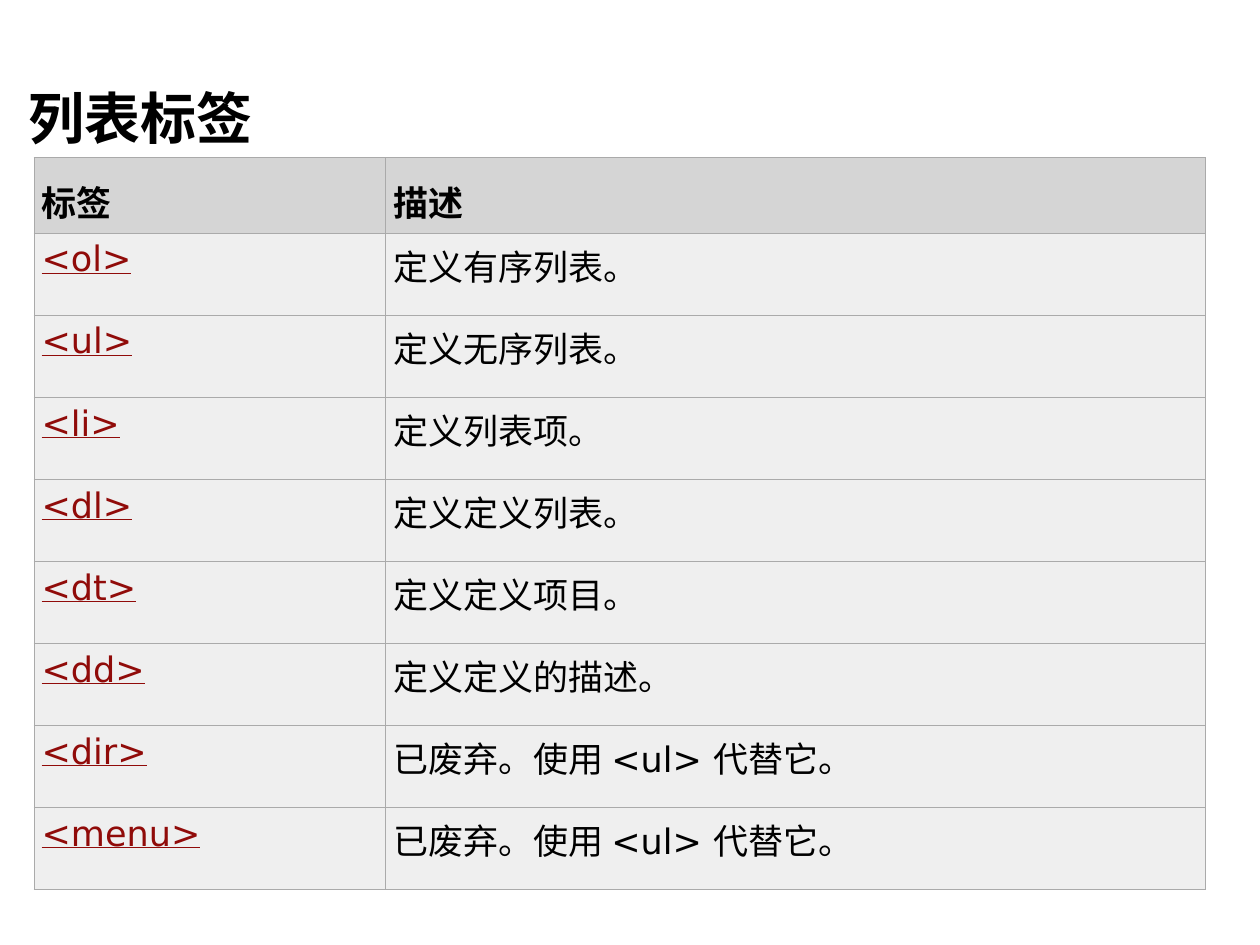
from lxml import etree
from pptx import Presentation
from pptx.dml.color import RGBColor
from pptx.enum.text import MSO_ANCHOR, MSO_AUTO_SIZE
from pptx.oxml.ns import qn
from pptx.util import Inches, Pt

TOP, MIDDLE, BOTTOM = MSO_ANCHOR.TOP, MSO_ANCHOR.MIDDLE, MSO_ANCHOR.BOTTOM
FIT_SHAPE = MSO_AUTO_SIZE.SHAPE_TO_FIT_TEXT

COLORS = {"text": "000000", "tag": "900B09", "header": "D5D5D5",
          "body": "EFEFEF", "border": "AAAAAA"}
LATIN_FONT, CJK_FONT = "DejaVu Sans", "Noto Sans CJK SC"

HEADINGS = ("标签", "描述")
LIST_TAGS = [
    ("<ol>", "定义有序列表。"),
    ("<ul>", "定义无序列表。"),
    ("<li>", "定义列表项。"),
    ("<dl>", "定义定义列表。"),
    ("<dt>", "定义定义项目。"),
    ("<dd>", "定义定义的描述。"),
    ("<dir>", "已废弃。使用 <ul> 代替它。"),
    ("<menu>", "已废弃。使用 <ul> 代替它。"),
]


def style_text(paragraph, size, latin, color="text", bold=False, underline=False):
    font = paragraph.font
    font.size, font.name = Pt(size), latin
    font.bold, font.underline = bold, underline
    font.color.rgb = RGBColor.from_string(COLORS[color])
    # East Asian typeface follows the latin one
    latin_tag = paragraph._p.pPr.find(qn("a:defRPr")).find(qn("a:latin"))
    east_asian = etree.Element(qn("a:ea"), typeface=CJK_FONT)
    latin_tag.addnext(east_asian)


def draw_borders(cell):
    properties = cell._tc.get_or_add_tcPr()
    for index, side in enumerate(("lnL", "lnR", "lnT", "lnB")):
        line = etree.Element(qn(f"a:{side}"), w=str(int(Pt(0.45))))
        fill = etree.SubElement(line, qn("a:solidFill"))
        etree.SubElement(fill, qn("a:srgbClr"), val=COLORS["border"])
        properties.insert(index, line)


def add_title(slide, left, top, width, height):
    title = slide.shapes.add_textbox(left, top, width, height).text_frame
    title.word_wrap = False
    title.auto_size = FIT_SHAPE
    title.vertical_anchor = MIDDLE
    title.text = "列表标签"
    style_text(title.paragraphs[0], 32, CJK_FONT, bold=True)


def add_tag_table(slide, left, top, width, height):
    rows = [HEADINGS] + LIST_TAGS
    table = slide.shapes.add_table(len(rows), len(HEADINGS),
                                   left, top, width, height).table
    # The tag column takes 30 %, the header row is a little lower
    table.columns[0].width = int(width * 0.3)
    table.columns[1].width = width - table.columns[0].width
    header_height = Inches(0.6)
    body_height = (height - header_height) // len(LIST_TAGS)

    for r, row in enumerate(rows):
        is_header = r == 0
        table.rows[r].height = header_height if is_header else body_height
        for c, wording in enumerate(row):
            is_tag = c == 0 and not is_header
            cell = table.cell(r, c)
            cell.text = wording
            cell.margin_left, cell.margin_right = Inches(0.06), Inches(0.16)
            cell.vertical_anchor = BOTTOM if is_header else TOP
            cell.fill.solid()
            cell.fill.fore_color.rgb = RGBColor.from_string(
                COLORS["header" if is_header else "body"])
            draw_borders(cell)
            style_text(cell.text_frame.paragraphs[0], 20, LATIN_FONT,
                       color="tag" if is_tag else "text",
                       bold=is_header, underline=is_tag)


def main():
    deck = Presentation()
    deck.slide_width, deck.slide_height = Inches(10), Inches(7.5)
    slide = deck.slides.add_slide(deck.slide_layouts[6])
    add_title(slide, Inches(0.13), Inches(0.61), Inches(1.98), Inches(0.64))
    add_tag_table(slide, Inches(0.27), Inches(1.25), Inches(9.3), Inches(5.81))
    deck.save("out.pptx")


if __name__ == "__main__":
    main()
